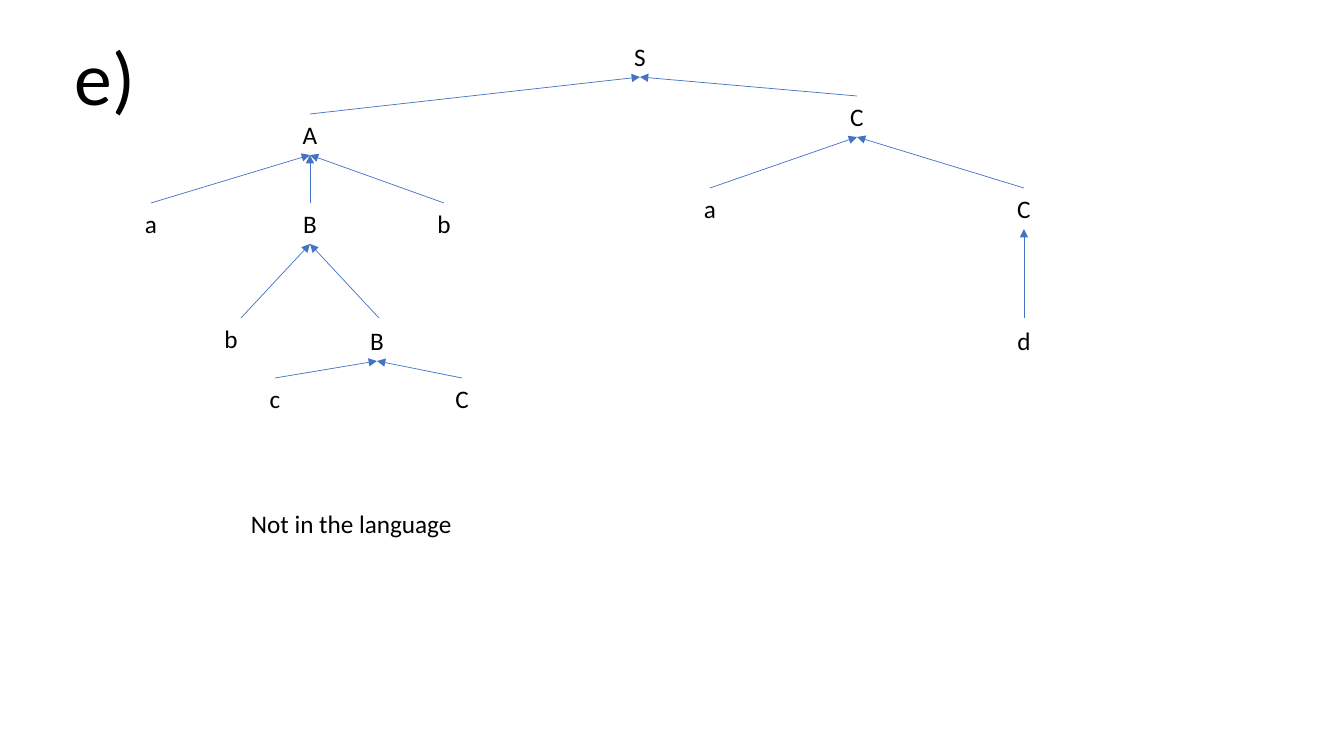
from dataclasses import dataclass

from lxml import etree
from pptx import Presentation
from pptx import util as u
from pptx.dml.color import RGBColor
from pptx.enum import shapes, text
from pptx.oxml import ns

PX = 914400 / 100.8
BLACK = RGBColor(0x00, 0x00, 0x00)
BRANCH_BLUE = RGBColor(0x44, 0x72, 0xC4)
SYMBOL_W, SYMBOL_H = 177, 41


@dataclass
class Symbol:
    """A grammar symbol: centre and top in the tree, children, and shift of its branch start."""
    label: str
    center: int
    top: int
    children: tuple = ()
    shift: tuple = (0, 0)


DERIVATION = Symbol("S", 577, 0, (
    Symbol("A", 247, 78, (
        Symbol("a", 88, 167),
        Symbol("B", 247, 167, (
            Symbol("b", 168, 282, shift=(10, 0)),
            Symbol("B", 314, 284, (
                Symbol("c", 212, 342),
                Symbol("C", 399, 342),
            ), shift=(2, -2)),
        )),
        Symbol("b", 381, 167),
    )),
    Symbol("C", 794, 60, (
        Symbol("a", 647, 152),
        Symbol("C", 961, 152, (
            Symbol("d", 961, 284, shift=(0, -2)),
        )),
    )),
))


def emu(pixels):
    """Turn pixels into EMU."""
    return u.Emu(round(pixels * PX))


def write(slide, box, words, size=18, align=text.PP_ALIGN.LEFT):
    """Place one line of text in a box given as left, top, width, height."""
    frame = slide.shapes.add_textbox(*map(emu, box)).text_frame
    frame.word_wrap = True
    frame.auto_size = text.MSO_AUTO_SIZE.SHAPE_TO_FIT_TEXT
    line = frame.paragraphs[0]
    line.alignment = align
    run = line.add_run()
    run.text = words
    run.font.name = "Calibri"
    run.font.size = u.Pt(size)
    run.font.color.rgb = BLACK


def branch(slide, start, end):
    """Draw an arrow from a child's start point up to its parent."""
    arrow = slide.shapes.add_connector(
        shapes.MSO_CONNECTOR.STRAIGHT, *map(emu, (*start, *end)))
    arrow.line.color.rgb = BRANCH_BLUE
    arrow.line.width = u.Pt(0.5)
    etree.SubElement(arrow.line._get_or_add_ln(), ns.qn("a:tailEnd"), type="triangle")
    etree.SubElement(arrow._element.spPr, ns.qn("a:effectLst"))


def tree(slide, box, symbol):
    """Place a symbol and everything derived from it relative to the tree's box."""
    left, top = box[:2]
    center, upper = left + symbol.center, top + symbol.top
    write(slide, (center - SYMBOL_W / 2, upper, SYMBOL_W, SYMBOL_H),
          symbol.label, align=text.PP_ALIGN.CENTER)
    for child in symbol.children:
        across, down = child.shift
        start = (left + child.center + across, top + child.top + down)
        branch(slide, start, (center, upper + SYMBOL_H))
        tree(slide, box, child)


def derivation_slide(deck, box):
    """Build the slide with its part letter, derivation tree and verdict."""
    slide = deck.slides.add_slide(deck.slide_layouts[6])
    left, top = box[:2]
    write(slide, (left + 65, top + 25, 167, 102), "e)", size=54)
    tree(slide, (left + 63, top + 36, 1050, 383), DERIVATION)
    write(slide, (left + 241, top + 503, 862, SYMBOL_H), "Not in the language")


def main():
    """Create and save the presentation."""
    deck = Presentation()
    deck.slide_width, deck.slide_height = emu(1344), emu(756)
    derivation_slide(deck, (0, 0, 1344, 756))
    deck.save("out.pptx")


main()
